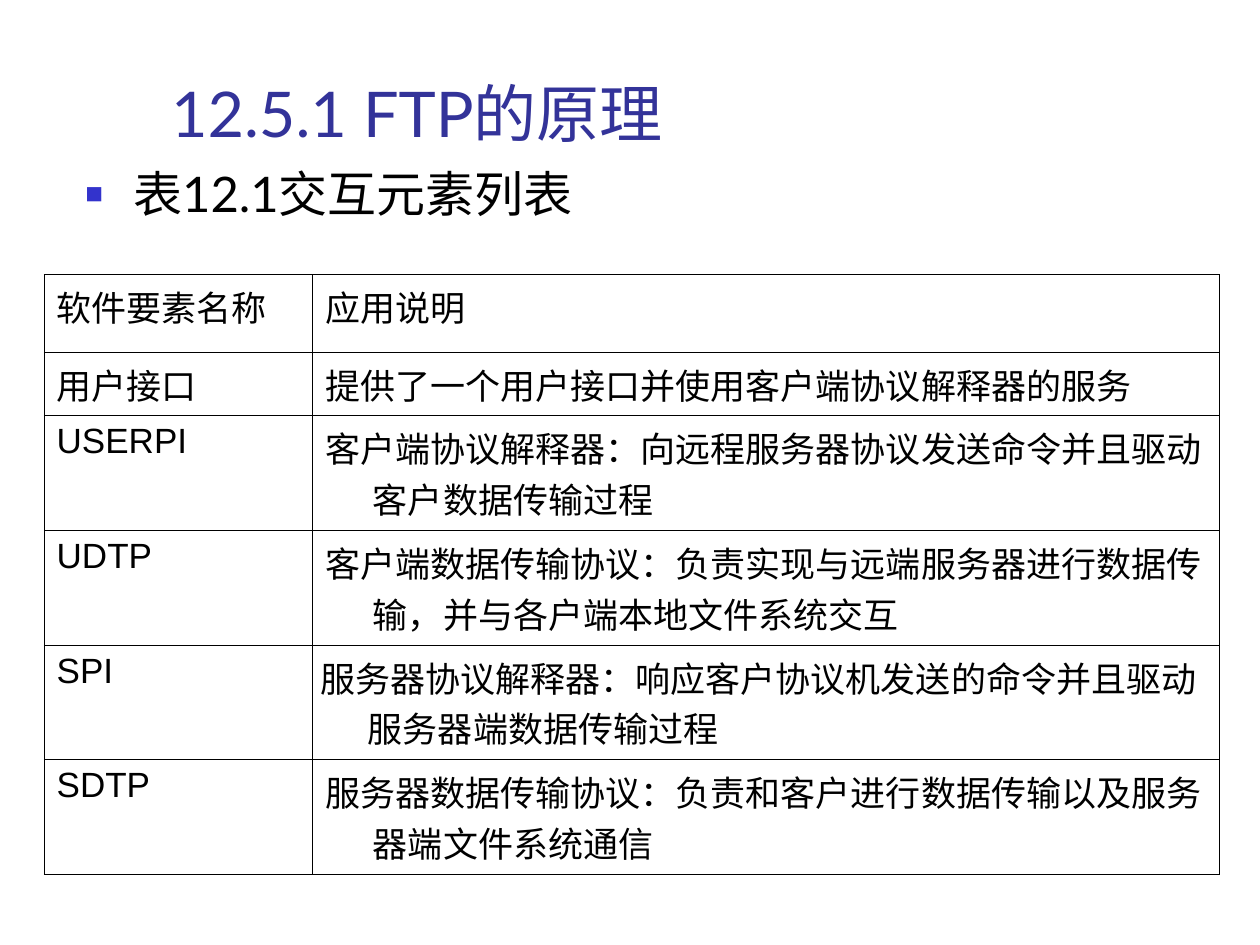
from lxml.etree import SubElement
from pptx import Presentation
from pptx.dml.color import RGBColor
from pptx.enum.text import MSO_ANCHOR
from pptx.oxml.ns import qn
from pptx.util import Inches, Pt

# Content
TITLE = "12.5.1 FTP的原理"
CAPTION = "表12.1交互元素列表"
ROWS = [
    ("软件要素名称", "应用说明"),
    ("用户接口", "提供了一个用户接口并使用客户端协议解释器的服务"),
    ("USERPI", "客户端协议解释器：向远程服务器协议发送命令并且驱动客户数据传输过程"),
    ("UDTP", "客户端数据传输协议：负责实现与远端服务器进行数据传输，并与各户端本地文件系统交互"),
    ("SPI", "服务器协议解释器：响应客户协议机发送的命令并且驱动服务器端数据传输过程"),
    ("SDTP", "服务器数据传输协议：负责和客户进行数据传输以及服务器端文件系统通信"),
]
COL_WIDTHS = [2.13, 7.2]
ROW_HEIGHTS = [0.62, 0.5] + [0.91] * 4
NARROW_MARGIN_CELL = (4, 1)
INDENT = 0.38
BLACK, TITLE_BLUE, BULLET_BLUE = "000000", "333399", "3333CC"


def rgb(value):
    return RGBColor.from_string(value)


def style(p, size, font, color):
    for r in p.runs:
        r.font.size, r.font.name = Pt(size), font
        r.font.color.rgb = rgb(color)


def hang(p):
    pPr = p._p.get_or_add_pPr()
    pPr.set("marL", str(Inches(INDENT)))
    pPr.set("indent", str(-Inches(INDENT)))
    return pPr


def add_square_bullet(p):
    pPr = hang(p)
    SubElement(SubElement(pPr, qn("a:buClr")), qn("a:srgbClr"), val=BULLET_BLUE)
    SubElement(pPr, qn("a:buSzPct"), val="60000")
    SubElement(pPr, qn("a:buFont"), typeface="Arial")
    SubElement(pPr, qn("a:buChar"), char="■")


def add_text(s, box, text, size, color):
    tf = s.shapes.add_textbox(*map(Inches, box)).text_frame
    tf.word_wrap = True
    tf.text = text
    style(tf.paragraphs[0], size, "Lato", color)
    return tf


def add_borders(cell):
    tcPr = cell._tc.get_or_add_tcPr()
    for i, side in enumerate(("a:lnL", "a:lnR", "a:lnT", "a:lnB")):
        ln = tcPr.makeelement(qn(side), {"w": str(Pt(0.45))})
        SubElement(SubElement(ln, qn("a:solidFill")), qn("a:srgbClr"), val=BLACK)
        tcPr.insert(i, ln)


prs = Presentation()
prs.slide_width, prs.slide_height = Inches(10), Inches(7.5)
s = prs.slides.add_slide(prs.slide_layouts[6])

# Title and caption
title = add_text(s, (1.26, 0.58, 7.57, 0.66), TITLE, 36, TITLE_BLUE)
title.vertical_anchor = MSO_ANCHOR.BOTTOM
caption = add_text(s, (0.58, 1.25, 4.37, 5.58), CAPTION, 28, BLACK)
add_square_bullet(caption.paragraphs[0])

# Table of interacting elements
table = s.shapes.add_table(
    len(ROWS), len(COL_WIDTHS), Inches(0.35), Inches(2.18),
    Inches(sum(COL_WIDTHS)), Inches(sum(ROW_HEIGHTS))).table
table.first_row = table.horz_banding = False
for col, width in zip(table.columns, COL_WIDTHS):
    col.width = Inches(width)
for row, height in zip(table.rows, ROW_HEIGHTS):
    row.height = Inches(height)

for i, texts in enumerate(ROWS):
    for j, text in enumerate(texts):
        cell = table.cell(i, j)
        cell.text = text
        side = 0.06 if (i, j) == NARROW_MARGIN_CELL else 0.1
        cell.margin_left = cell.margin_right = Inches(side)
        cell.margin_top = cell.margin_bottom = Inches(0.05)
        cell.fill.background()
        add_borders(cell)
        p = cell.text_frame.paragraphs[0]
        hang(p)
        style(p, 20, "Arial" if text.isascii() else "Times New Roman", BLACK)

prs.save("out.pptx")
